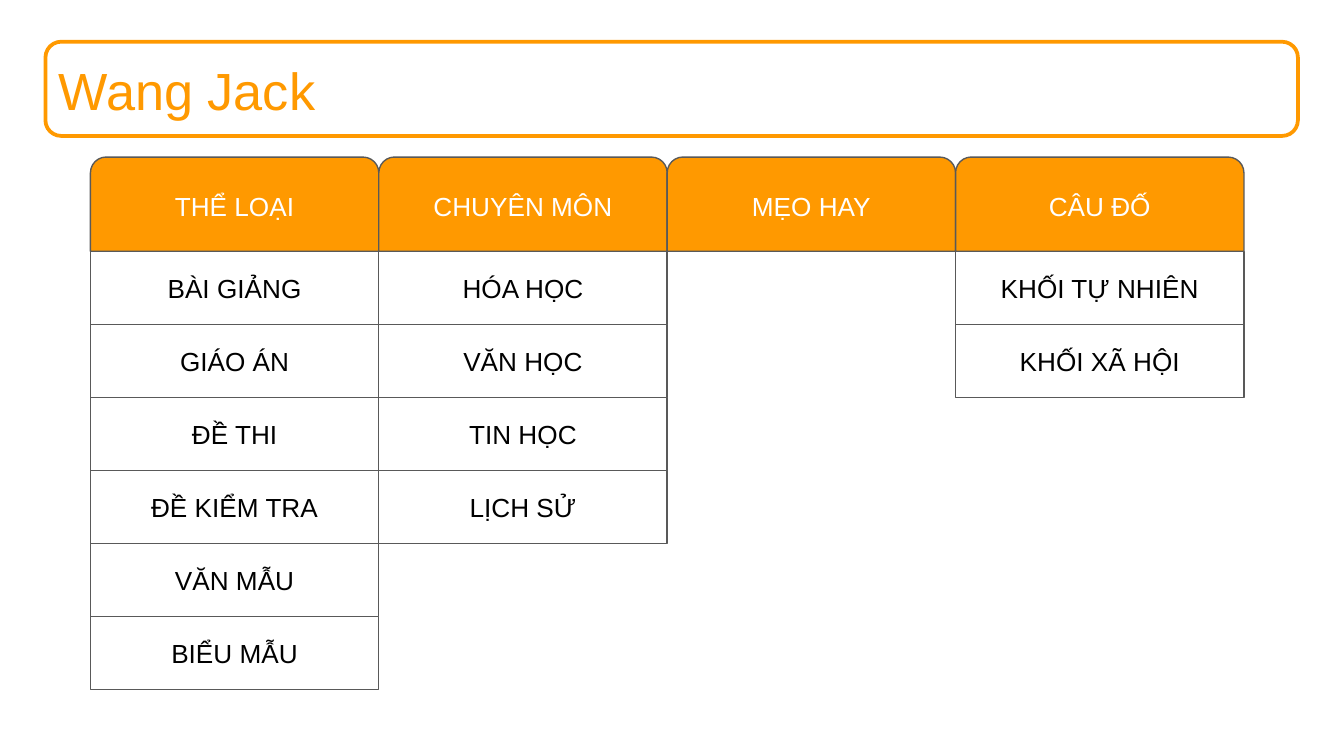
from dataclasses import dataclass

from pptx import Presentation
from pptx.dml.color import RGBColor
from pptx.enum.shapes import MSO_SHAPE as Preset
from pptx.enum.text import MSO_ANCHOR as Anchor, MSO_AUTO_SIZE as AutoSize, PP_ALIGN as Align
from pptx.util import Cm, Pt

TITLE_ONLY = 5

COLUMNS = {
    "THỂ LOẠI": ["BÀI GIẢNG", "GIÁO ÁN", "ĐỀ THI", "ĐỀ KIỂM TRA", "VĂN MẪU", "BIỂU MẪU"],
    "CHUYÊN MÔN": ["HÓA HỌC", "VĂN HỌC", "TIN HỌC", "LỊCH SỬ"],
    "MẸO HAY": [],
    "CÂU ĐỐ": ["KHỐI TỰ NHIÊN", "KHỐI XÃ HỘI"],
}

# Menu grid, in centimetres
GRID_LEFT = 1.71
HEADER_TOP = 2.97
HEADER_HEIGHT = 1.78
COLUMN_WIDTH = 5.45
ROW_HEIGHT = 1.38


@dataclass(frozen=True)
class Theme:
    font: str = "Arial"
    accent: RGBColor = RGBColor(0xFF, 0x99, 0x00)
    outline: RGBColor = RGBColor(0x59, 0x59, 0x59)
    light: RGBColor = RGBColor(0xFF, 0xFF, 0xFF)
    dark: RGBColor = RGBColor(0x00, 0x00, 0x00)
    title_size: Pt = Pt(28)
    menu_size: Pt = Pt(14)
    frame_line: Pt = Pt(2)
    menu_line: Pt = Pt(0.75)


class MenuSlide:
    def __init__(self, slide, theme):
        self.slide = slide
        self.theme = theme

    def set_text(self, shape, text, size, color, align):
        paragraph = shape.text_frame.paragraphs[0]
        paragraph.text = text
        paragraph.alignment = align
        paragraph.font.name = self.theme.font
        paragraph.font.size = size
        paragraph.font.color.rgb = color

    def title(self, text, left, top, width, height):
        shape = self.slide.shapes.title
        shape.left, shape.top = Cm(left), Cm(top)
        shape.width, shape.height = Cm(width), Cm(height)
        frame = shape.text_frame
        frame.vertical_anchor = Anchor.TOP
        frame.auto_size = AutoSize.SHAPE_TO_FIT_TEXT
        self.set_text(shape, text, self.theme.title_size, self.theme.accent, Align.LEFT)

    def box(self, preset, left, top, width, height, line_color, line_width, fill=None):
        """Add a preset shape; without a fill colour it stays see-through."""
        shape = self.slide.shapes.add_shape(preset, Cm(left), Cm(top), Cm(width), Cm(height))
        shape.shadow.inherit = False
        shape.line.color.rgb = line_color
        shape.line.width = line_width
        if fill is None:
            shape.fill.background()
        else:
            shape.fill.solid()
            shape.fill.fore_color.rgb = fill
        return shape

    def title_frame(self, left, top, width, height):
        self.box(Preset.ROUNDED_RECTANGLE, left, top, width, height,
                 self.theme.accent, self.theme.frame_line)

    def menu_box(self, preset, text, left, top, height, fill, color):
        shape = self.box(preset, left, top, COLUMN_WIDTH, height,
                         self.theme.outline, self.theme.menu_line, fill)
        frame = shape.text_frame
        frame.word_wrap = True
        frame.vertical_anchor = Anchor.MIDDLE
        frame.margin_left = frame.margin_right = Cm(0.25)
        frame.margin_top = frame.margin_bottom = Cm(0.25)
        self.set_text(shape, text, self.theme.menu_size, color, Align.CENTER)

    def header(self, text, left):
        self.menu_box(Preset.ROUND_2_SAME_RECTANGLE, text, left, HEADER_TOP,
                      HEADER_HEIGHT, self.theme.accent, self.theme.light)

    def item(self, text, left, row):
        top = HEADER_TOP + HEADER_HEIGHT + row * ROW_HEIGHT
        self.menu_box(Preset.RECTANGLE, text, left, top, ROW_HEIGHT,
                      self.theme.light, self.theme.dark)


def main():
    presentation = Presentation()
    presentation.slide_width = Cm(25.4)
    presentation.slide_height = Cm(14.29)
    slide = presentation.slides.add_slide(presentation.slide_layouts[TITLE_ONLY])

    menu = MenuSlide(slide, Theme())
    menu.title_frame(0.86, 0.79, 23.67, 1.78)
    menu.title("Wang Jack", 0.86, 0.97, 10.95, 1.45)
    for column, (heading, items) in enumerate(COLUMNS.items()):
        left = GRID_LEFT + column * COLUMN_WIDTH
        menu.header(heading, left)
        for row, text in enumerate(items):
            menu.item(text, left, row)

    presentation.save("out.pptx")


if __name__ == "__main__":
    main()
